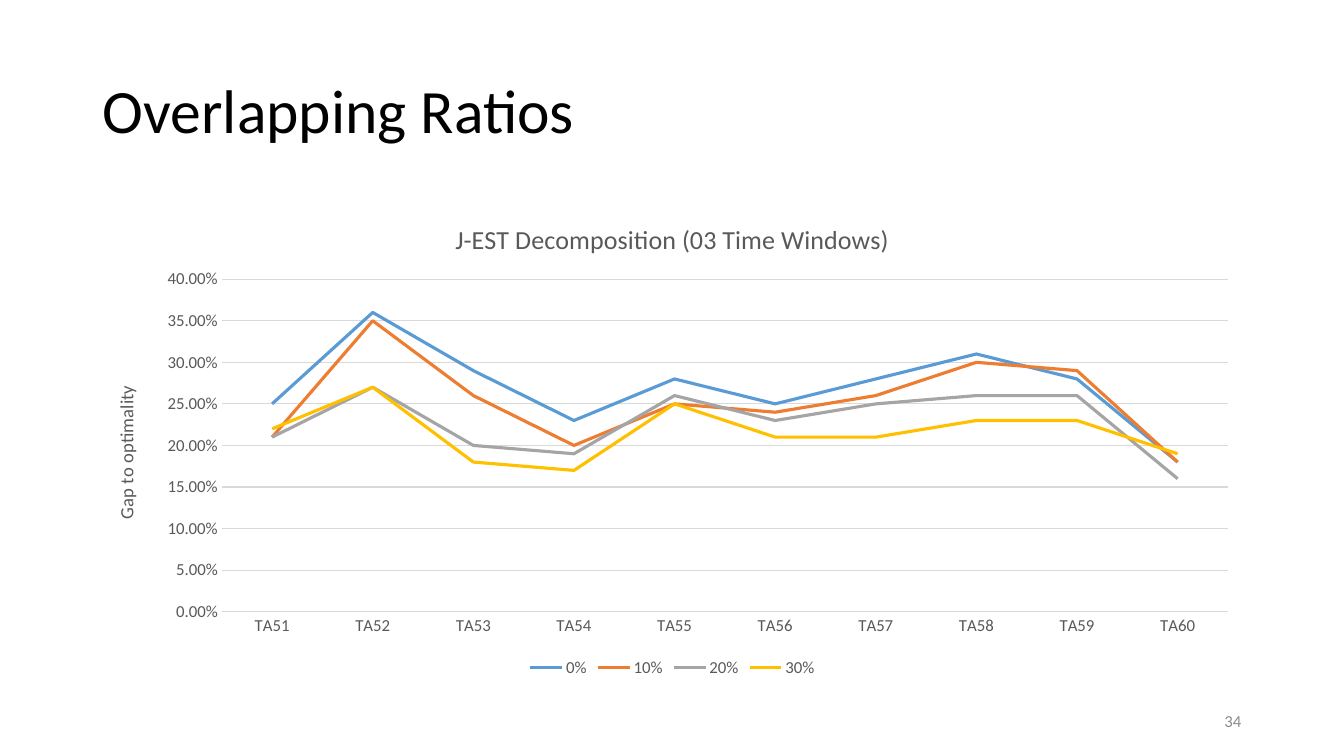
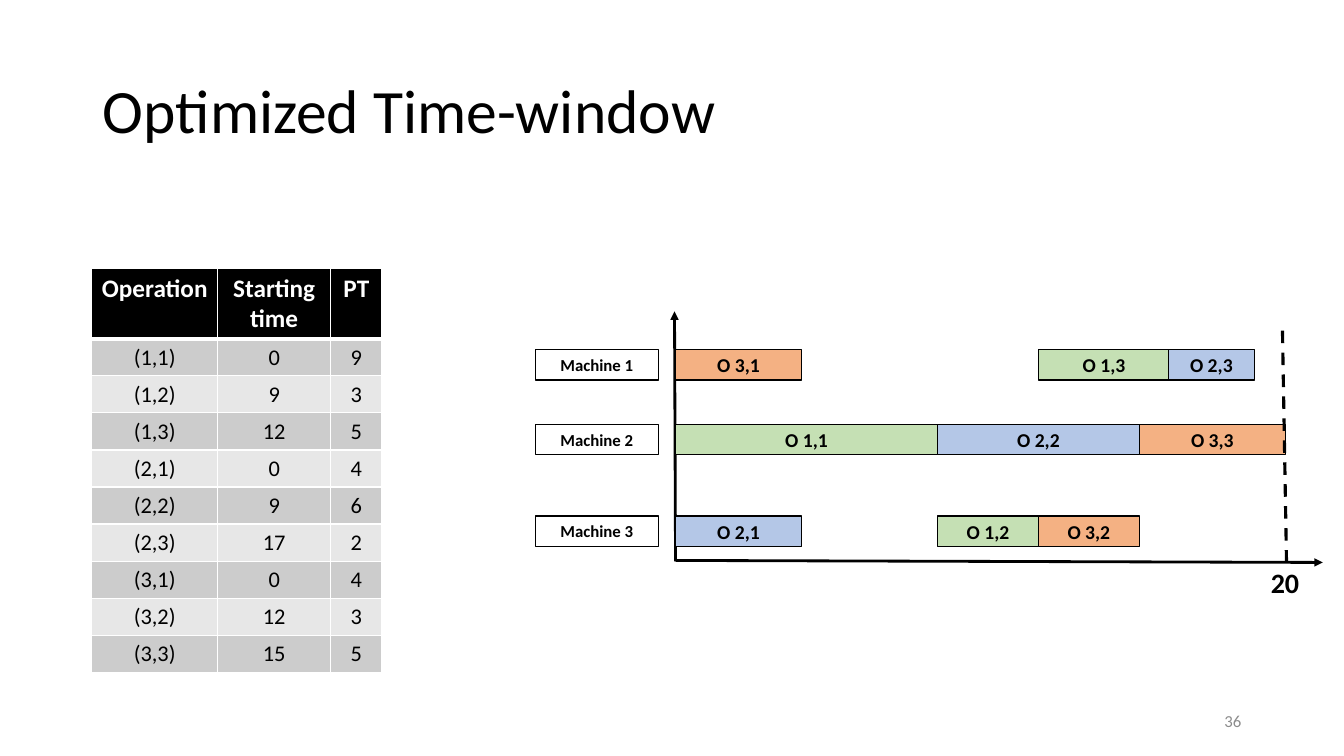
from lxml import etree
from pptx import Presentation
from pptx.chart.data import CategoryChartData
from pptx.dml.color import RGBColor
from pptx.enum.chart import XL_CHART_TYPE, XL_LEGEND_POSITION, XL_MARKER_STYLE, XL_TICK_MARK
from pptx.enum.dml import MSO_LINE
from pptx.enum.shapes import MSO_CONNECTOR, MSO_SHAPE
from pptx.enum.text import MSO_ANCHOR, PP_ALIGN
from pptx.oxml import parse_xml
from pptx.oxml.ns import nsdecls, qn
from pptx.util import Inches, Pt

LINE_CHART = XL_CHART_TYPE.LINE
NO_MARKER = XL_MARKER_STYLE.NONE
NO_TICK = XL_TICK_MARK.NONE
BOTTOM = XL_LEGEND_POSITION.BOTTOM
DASH = MSO_LINE.DASH
STRAIGHT = MSO_CONNECTOR.STRAIGHT
RECTANGLE = MSO_SHAPE.RECTANGLE
TOP, MIDDLE = MSO_ANCHOR.TOP, MSO_ANCHOR.MIDDLE
LEFT, CENTER, RIGHT = PP_ALIGN.LEFT, PP_ALIGN.CENTER, PP_ALIGN.RIGHT

FONT = "Calibri"
COLORS = {
    "black": "000000", "white": "FFFFFF",
    "page_number": "8C8C8C", "chart_text": "595959", "grid": "D9D9D9",
    "odd_row": "CCCCCC", "even_row": "E7E7E7",
    "job 1": "C5E0B4", "job 2": "B4C7E7", "job 3": "F4B183",
    "0%": "5B9BD5", "10%": "ED7D31", "20%": "A5A5A5", "30%": "FFC000",
}

# Gap to optimality for each overlapping ratio
INSTANCES = [f"TA{number}" for number in range(51, 61)]
GAPS = {
    "0%": (0.25, 0.36, 0.29, 0.23, 0.28, 0.25, 0.28, 0.31, 0.28, 0.18),
    "10%": (0.21, 0.35, 0.26, 0.2, 0.25, 0.24, 0.26, 0.3, 0.29, 0.18),
    "20%": (0.21, 0.27, 0.2, 0.19, 0.26, 0.23, 0.25, 0.26, 0.26, 0.16),
    "30%": (0.22, 0.27, 0.18, 0.17, 0.25, 0.21, 0.21, 0.23, 0.23, 0.19),
}
CHART_BOX = (0.92, 2, 11.5, 4.76)
PLOT_BOX = (2.2, 2.77, 9.98, 3.3)

# Schedule table: operation, starting time, processing time
SCHEDULE = [
    ("Operation", "Starting time", "PT"),
    ("(1,1)", "0", "9"), ("(1,2)", "9", "3"), ("(1,3)", "12", "5"),
    ("(2,1)", "0", "4"), ("(2,2)", "9", "6"), ("(2,3)", "17", "2"),
    ("(3,1)", "0", "4"), ("(3,2)", "12", "3"), ("(3,3)", "15", "5"),
]
TABLE_HEIGHT, HEADER_HEIGHT = 4, 0.69
ROW_HEIGHT = (TABLE_HEIGHT - HEADER_HEIGHT) / (len(SCHEDULE) - 1)

# Gantt rows: machine, top, bars as (job, step, left, width)
MACHINES = [
    ("Machine 1", 3.47, [(3, 1, 6.7, 1.25), (1, 3, 10.3, 1.3), (2, 3, 11.59, 0.85)]),
    ("Machine 2", 4.21, [(1, 1, 6.7, 2.6), (2, 2, 9.3, 2), (3, 3, 11.3, 1.45)]),
    ("Machine 3", 5.12, [(2, 1, 6.7, 1.25), (1, 2, 9.3, 1), (3, 2, 10.3, 1)]),
]
BAR_HEIGHT = 0.3


def color(name):
    return RGBColor.from_string(COLORS[name])


def set_font(font, size, color_name, bold=False):
    font.name = FONT
    font.size = Pt(size)
    font.bold = bold
    font.color.rgb = color(color_name)


def write(text_frame, text, size, color_name="black", bold=False,
          align=CENTER, anchor=MIDDLE):
    text_frame.text = text
    text_frame.vertical_anchor = anchor
    paragraph = text_frame.paragraphs[0]
    paragraph.alignment = align
    set_font(paragraph.font, size, color_name, bold)
    return paragraph


def add_text(slide, box, text, size, wrap=True, **style):
    shape = slide.shapes.add_textbox(*map(Inches, box))
    shape.text_frame.word_wrap = wrap
    write(shape.text_frame, text, size, **style)


def add_slide(presentation, title, number):
    """Add a slide with its title and page number."""
    slide = presentation.slides.add_slide(presentation.slide_layouts[5])
    shape = slide.shapes.title
    shape.left, shape.top, shape.width, shape.height = map(Inches, (0.92, 0.4, 11.5, 1.45))
    write(shape.text_frame, title, 44, align=LEFT).line_spacing = 0.9
    add_text(slide, (9.41, 6.95, 3, 0.4), str(number), 12,
             color_name="page_number", align=RIGHT)
    return slide


def add_box(slide, box, text, size, fill):
    shape = slide.shapes.add_shape(RECTANGLE, *map(Inches, box))
    shape.shadow.inherit = False
    shape.fill.solid()
    shape.fill.fore_color.rgb = color(fill)
    shape.line.color.rgb = color("black")
    shape.line.width = Pt(1)
    write(shape.text_frame, text, size, bold=True)


def add_line(slide, start, end, width=2, arrow=False, dash=None):
    connector = slide.shapes.add_connector(STRAIGHT, *map(Inches, start + end))
    connector.line.color.rgb = color("black")
    connector.line.width = Pt(width)
    if dash is not None:
        connector.line.dash_style = dash
    if arrow:
        etree.SubElement(connector.line._get_or_add_ln(), qn("a:tailEnd"), type="triangle")
    etree.SubElement(connector._element.spPr, qn("a:effectLst"))


def place_plot(chart):
    """Fix the inner plot area as fractions of the chart box."""
    left, top, width, height = CHART_BOX
    plot_left, plot_top, plot_width, plot_height = PLOT_BOX
    places = {"x": (plot_left - left) / width, "y": (plot_top - top) / height,
              "w": plot_width / width, "h": plot_height / height}
    plot_area = chart._chartSpace.chart.plotArea
    for old_layout in plot_area.findall(qn("c:layout")):
        plot_area.remove(old_layout)
    modes = '<c:xMode val="edge"/><c:yMode val="edge"/>'
    values = "".join(f'<c:{key} val="{value:.4f}"/>' for key, value in places.items())
    plot_area.insert(0, parse_xml(
        f'<c:layout {nsdecls("c")}><c:manualLayout><c:layoutTarget val="inner"/>'
        f'{modes}{values}</c:manualLayout></c:layout>'))


def add_gap_chart(slide):
    data = CategoryChartData(number_format="0.00%")
    data.categories = INSTANCES
    for name, values in GAPS.items():
        data.add_series(name, values)
    chart = slide.shapes.add_chart(LINE_CHART, *map(Inches, CHART_BOX), data).chart
    set_font(chart.font, 12, "chart_text")
    place_plot(chart)

    # Titles and legend
    chart.has_title = True
    write(chart.chart_title.text_frame, "J-EST Decomposition (03 Time Windows)",
          18.6, "chart_text")
    chart.chart_title.include_in_layout = False
    chart.has_legend = True
    chart.legend.position = BOTTOM
    chart.legend.include_in_layout = False
    set_font(chart.legend.font, 12, "chart_text")

    # Axes
    for axis in (chart.category_axis, chart.value_axis):
        axis.major_tick_mark = axis.minor_tick_mark = NO_TICK
        set_font(axis.tick_labels.font, 12, "chart_text")
    chart.category_axis.format.line.color.rgb = color("grid")
    chart.category_axis.format.line.width = Pt(0.75)
    axis = chart.value_axis
    axis.minimum_scale, axis.maximum_scale, axis.major_unit = 0, 0.4, 0.05
    axis.tick_labels.number_format = "0.00%"
    axis.tick_labels.number_format_is_linked = False
    axis.format.line.fill.background()
    axis.major_gridlines.format.line.color.rgb = color("grid")
    axis.major_gridlines.format.line.width = Pt(0.75)
    title_frame = axis.axis_title.text_frame
    write(title_frame, "Gap to optimality", 13.3, "chart_text")
    body = title_frame._txBody.bodyPr
    body.set("rot", "-5400000")
    body.set("vert", "horz")

    # Series
    chart.plots[0].vary_by_categories = False
    for series in chart.plots[0].series:
        series.smooth = False
        series.marker.style = NO_MARKER
        series.format.line.color.rgb = color(series.name)
        series.format.line.width = Pt(2.25)


def set_borders(cell, is_header, under_header):
    """Draw white cell borders, thicker below the header."""
    widths = {"lnL": 1, "lnR": 1, "lnT": 3 if under_header else 1,
              "lnB": 3 if is_header else 1}
    properties = cell._tc.get_or_add_tcPr()
    for side, width in widths.items():
        properties.append(parse_xml(
            f'<a:{side} {nsdecls("a")} w="{Pt(width)}"><a:solidFill>'
            f'<a:srgbClr val="{COLORS["white"]}"/></a:solidFill></a:{side}>'))


def add_schedule_table(slide):
    box = map(Inches, (0.91, 2.66, 2.88, TABLE_HEIGHT))
    table = slide.shapes.add_table(len(SCHEDULE), len(SCHEDULE[0]), *box).table
    for column, width in zip(table.columns, (1.25, 1.12, 0.51)):
        column.width = Inches(width)
    for row_index, values in enumerate(SCHEDULE):
        is_header = row_index == 0
        table.rows[row_index].height = Inches(HEADER_HEIGHT if is_header else ROW_HEIGHT)
        fill = "black" if is_header else "odd_row" if row_index % 2 else "even_row"
        for column_index, value in enumerate(values):
            cell = table.cell(row_index, column_index)
            set_borders(cell, is_header, row_index == 1)
            cell.fill.solid()
            cell.fill.fore_color.rgb = color(fill)
            write(cell.text_frame, value, 18 if is_header else 16,
                  "white" if is_header else "black", bold=is_header, anchor=TOP)


def add_gantt(slide):
    # Axes
    add_line(slide, (6.7, 5.57), (6.69, 3.09), arrow=True)
    add_line(slide, (6.7, 5.56), (13.12, 5.58), arrow=True)
    # Machine labels and operations
    for machine, top, bars in MACHINES:
        add_box(slide, (5.31, top, 1.22, BAR_HEIGHT), machine, 12, "white")
        for job, step, left, width in bars:
            add_box(slide, (left, top, width, BAR_HEIGHT), f"O {job},{step}", 14, f"job {job}")
    # End of the schedule
    add_line(slide, (12.72, 3.28), (12.76, 5.58), width=2.25, dash=DASH)
    add_text(slide, (12.5, 5.56, 0.49, 0.44), "20", 20, wrap=False, bold=True, anchor=TOP)


def main():
    presentation = Presentation()
    presentation.slide_width = Inches(13.33)
    presentation.slide_height = Inches(7.5)

    add_gap_chart(add_slide(presentation, "Overlapping Ratios", 34))

    slide = add_slide(presentation, "Optimized Time-window", 36)
    add_schedule_table(slide)
    add_gantt(slide)

    presentation.save("out.pptx")


if __name__ == "__main__":
    main()
